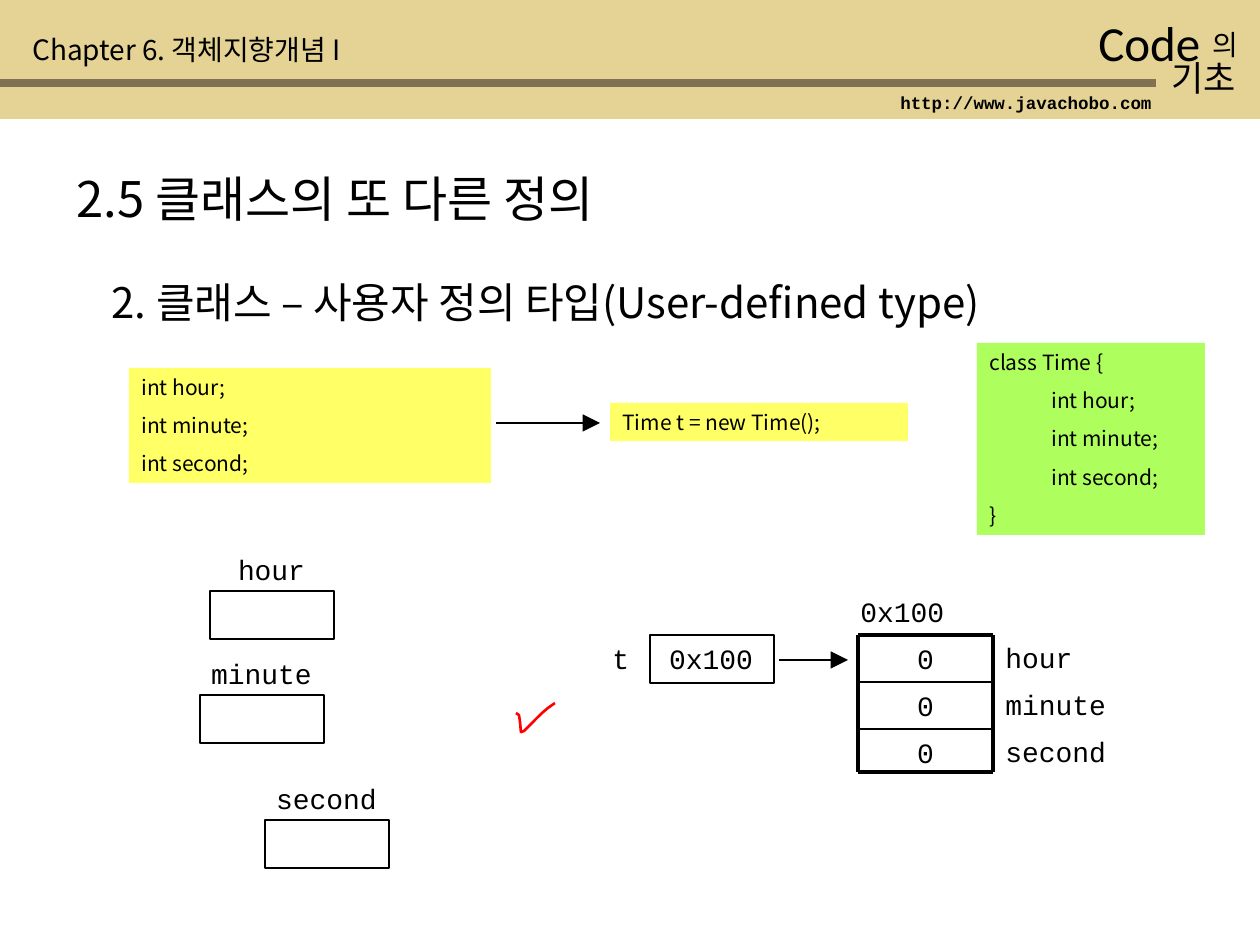
from dataclasses import dataclass
from pptx import Presentation
from pptx.dml.color import RGBColor
from pptx.enum.shapes import MSO_CONNECTOR, MSO_SHAPE
from pptx.enum.text import MSO_ANCHOR, MSO_AUTO_SIZE, PP_ALIGN
from pptx.oxml.ns import qn
from pptx.util import Emu, Pt
from lxml.etree import SubElement


@dataclass(frozen=True)
class Theme:
    band: str = "E4D394"
    rule: str = "817051"
    ink: str = "000000"
    yellow: str = "FFFF66"
    green: str = "AEFF5D"
    red: str = "FF0000"
    korean: str = "Noto Sans CJK KR"
    latin: str = "Calibri"
    dash: str = "Arial"
    mono: str = "Courier New"
    title: int = 28
    heading: int = 24
    book: int = 20
    label: int = 16
    code: int = 12
    link: int = 10


THEME = Theme()
EMU_PER_PX = 914400 / 126
CELL_HEIGHT = 47


def px(length):
    return Emu(round(length * EMU_PER_PX))


def color(code):
    return RGBColor.from_string(code)


def style_span(span, size, face, bold=False):
    span.font.size, span.font.name, span.font.bold = Pt(size), face, bold
    span.font.color.rgb = color(THEME.ink)
    east_asian = SubElement(span.font._element, qn("a:ea"))
    east_asian.set("typeface", THEME.korean)


def add_text(page, box, text, size=THEME.label, face=THEME.mono,
             align=PP_ALIGN.LEFT, bold=False):
    frame = page.shapes.add_textbox(*map(px, box)).text_frame
    frame.word_wrap = True
    para = frame.paragraphs[0]
    para.text, para.alignment = text, align
    style_span(para.runs[0], size, face, bold)


def add_box(page, box, fill=None, line=None):
    shape = page.shapes.add_shape(MSO_SHAPE.RECTANGLE, *map(px, box))
    shape.shadow.inherit = False
    if fill:
        shape.fill.solid()
        shape.fill.fore_color.rgb = color(fill)
    else:
        shape.fill.background()
    if line:
        shape.line.color.rgb = color(line)
        shape.line.width = Pt(0.75)
    else:
        shape.line.fill.background()
    return shape


def add_line(page, start, end, width=1, arrow=False):
    line = page.shapes.add_connector(MSO_CONNECTOR.STRAIGHT, *map(px, start + end))
    line.line.color.rgb = color(THEME.ink)
    line.line.width = Pt(width)
    if arrow:
        head = SubElement(line.line._get_or_add_ln(), qn("a:tailEnd"))
        for key, value in (("type", "triangle"), ("w", "lg"), ("len", "lg")):
            head.set(key, value)
    SubElement(line._element.spPr, qn("a:effectLst"))


def fill_placeholder(holder, box, parts, size):
    """Write (text, face) parts on one unbulleted, left-aligned line."""
    holder.left, holder.top, holder.width, holder.height = map(px, box)
    frame = holder.text_frame
    frame.auto_size, frame.vertical_anchor = MSO_AUTO_SIZE.NONE, MSO_ANCHOR.TOP
    frame.word_wrap = True
    para = frame.paragraphs[0]
    para.alignment, para.space_before = PP_ALIGN.LEFT, Pt(0)
    properties = para._p.get_or_add_pPr()
    properties.set("marL", "0")
    properties.set("indent", "0")
    SubElement(properties, qn("a:buNone"))
    for text, face in parts:
        span = para.add_run()
        span.text = text
        style_span(span, size, face)


def header(page, box):
    left, top, width, height = box
    add_box(page, box, THEME.band)
    add_box(page, (left, top + 79, 1156, 8), THEME.rule)
    add_text(page, (left + 1086, top + 6, 168, 72), "Code", THEME.title, THEME.latin)
    add_text(page, (left + 1200, top + 21, 60, 47), "의", THEME.label, THEME.korean)
    add_text(page, (left + 1159, top + 50, 101, 55), "기초", THEME.book, THEME.korean)
    add_text(page, (left + 888, top + 86, 277, 34), "http://www.javachobo.com",
             THEME.link, bold=True)
    add_text(page, (left + 20, top + 26, 546, 47), "Chapter 6. 객체지향개념 I",
             THEME.label, THEME.korean)


def code_block(page, box, lines, fill):
    frame = add_box(page, box, fill).text_frame
    frame.word_wrap, frame.vertical_anchor = True, MSO_ANCHOR.TOP
    for index, text in enumerate(lines):
        para = frame.add_paragraph() if index else frame.paragraphs[0]
        para.text, para.alignment = text, PP_ALIGN.LEFT
        para.line_spacing = Pt(14.4)
        para.space_before = Pt(7.5 if index else 0)
        properties = para._p.get_or_add_pPr()
        properties.set("marL", str(px(62)))
        properties.set("indent", str(-px(62)))
        style_span(para.runs[0], THEME.code, THEME.korean)


def variable(page, box, name):
    """Draw an empty cell with its name centred above it."""
    left, top, width, height = box
    add_box(page, box, line=THEME.ink)
    add_text(page, (left - 4, top - 45, 131, 47), name, align=PP_ALIGN.CENTER)


def reference(page, box, name, address):
    left, top, width, height = box
    add_box(page, box, line=THEME.ink)
    add_text(page, (left - 50, top, 60, height), name)
    add_text(page, (left - 7, top, 136, height), address, align=PP_ALIGN.CENTER)
    add_line(page, (left + 129, top + 25), (left + 198, top + 25), arrow=True)


def instance(page, box, address, fields):
    """Draw stacked zero cells with an address above and names on the right."""
    left, top, width, height = box
    right, bottom = left + width, top + height
    add_text(page, (left - 10, top - 47, 129, 47), address)
    for index, name in enumerate(fields):
        y = top + index * CELL_HEIGHT
        add_text(page, (left, y, width, CELL_HEIGHT), "0", align=PP_ALIGN.CENTER)
        add_text(page, (right, y - 1, 159, CELL_HEIGHT), name)
        if index:
            add_line(page, (left, y), (right, y))
    for y in (top, bottom):
        add_line(page, (left, y), (right, y), 2.25)
    for x in (left, right):
        add_line(page, (x, top), (x, bottom), 2.25)


def check_mark(page, box):
    left, top, width, height = box
    stroke = [(0, 10), (3, 12), (4, 18), (5, 29), (8, 28), (13, 23), (19, 17),
              (25, 11), (32, 5), (39, 0)]
    points = [(px(left + x), px(top + y)) for x, y in stroke]
    builder = page.shapes.build_freeform(*points[0])
    builder.add_line_segments(points[1:], close=False)
    mark = builder.convert_to_shape()
    mark.shadow.inherit = False
    mark.fill.background()
    mark.line.color.rgb = color(THEME.red)
    mark.line.width = Pt(1.5)


def main():
    deck = Presentation()
    deck.slide_width, deck.slide_height = px(1260), px(945)
    page = deck.slides.add_slide(deck.slide_layouts[1])
    title, body = page.placeholders
    fields = ["hour", "minute", "second"]
    declarations = [f"int {name};" for name in fields]

    header(page, (0, 0, 1260, 119))
    fill_placeholder(title, (64, 162, 1071, 72),
                     [("2.5 클래스의 또 다른 정의", THEME.korean)], THEME.title)
    fill_placeholder(body, (99, 270, 1071, 63),
                     [("2. 클래스 ", THEME.korean), ("– ", THEME.dash),
                      ("사용자 정의 타입(User-defined type)", THEME.korean)],
                     THEME.heading)

    code_block(page, (129, 368, 362, 115), declarations, THEME.yellow)
    add_line(page, (496, 423), (600, 423), arrow=True)
    code_block(page, (610, 403, 298, 38), ["Time t = new Time();"], THEME.yellow)
    class_lines = ["class Time {", *(f"\t{line}" for line in declarations), "}"]
    code_block(page, (977, 343, 228, 192), class_lines, THEME.green)

    for name, (left, top) in zip(fields, [(210, 591), (200, 695), (265, 820)]):
        variable(page, (left, top, 124, 48), name)
    reference(page, (650, 635, 124, 48), "t", "0x100")
    instance(page, (858, 635, 135, 137), "0x100", fields)
    check_mark(page, (516, 703, 39, 29))
    deck.save("out.pptx")


if __name__ == "__main__":
    main()
